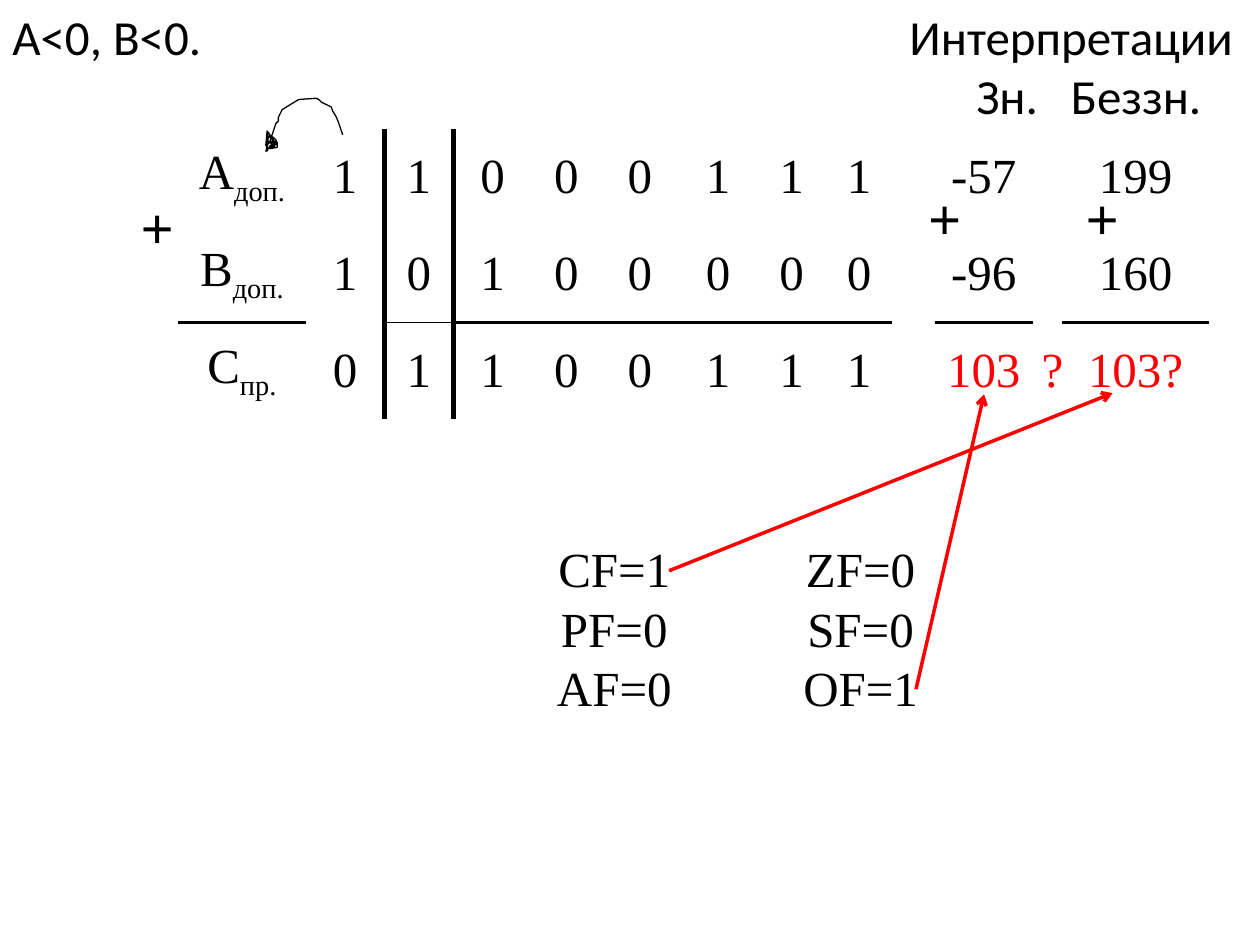
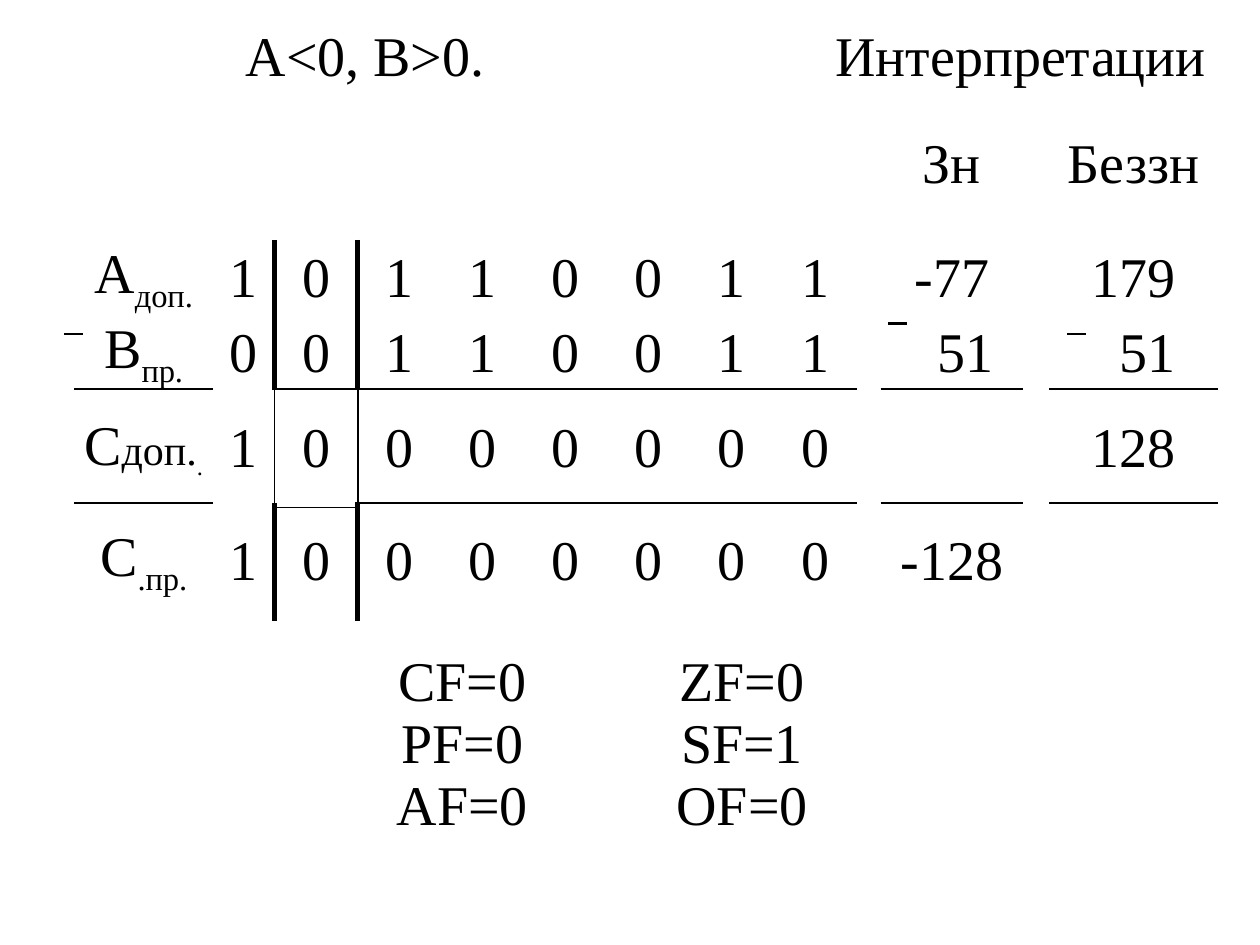
from dataclasses import dataclass

from lxml import etree
from pptx import Presentation
from pptx.dml.color import RGBColor
from pptx.enum.shapes import MSO_CONNECTOR
from pptx.enum.text import MSO_ANCHOR, PP_ALIGN
from pptx.oxml.ns import qn
from pptx.util import Inches, Pt

STRAIGHT = MSO_CONNECTOR.STRAIGHT
MIDDLE = MSO_ANCHOR.MIDDLE
LEFT, CENTER = PP_ALIGN.LEFT, PP_ALIGN.CENTER


@dataclass(frozen=True)
class Theme:
    ink: RGBColor = RGBColor(0, 0, 0)
    alert: RGBColor = RGBColor(255, 0, 0)
    serif: str = "Times New Roman"
    sans: str = "Calibri"
    sign: str = "Arial"
    sum_size: int = 28
    difference_size: int = 32
    suffix_size: int = 24
    sign_size: int = 32
    thick: float = 3
    rule: float = 1.5
    thin: float = 1
    no_grid: str = "{2D5ABB26-0587-4C30-8999-92F81FD0307C}"


@dataclass(frozen=True)
class Piece:
    text: str
    size: int
    color: RGBColor = Theme.ink
    font: str = Theme.serif
    subscript: bool = False


T = Theme()
SIGN_COL, FIRST_BIT, SIGNED_COL, UNSIGNED_COL = 1, 2, 10, 12
RULED_COLS = [0, *range(FIRST_BIT, 9), SIGNED_COL, UNSIGNED_COL]
SUM_WIDTHS = [1.02, .62, .55, .62, .55, .62, .62, .55, .52, .34, .78, .23, 1.17]
DIFFERENCE_WIDTHS = [1.1, .49] + [.66] * 7 + [.19, 1.13, .21, 1.34]
# Hand-drawn carry arrow, in hundredths of an inch
CARRY_ARC = [
    (61, 29), (58, 20), (56, 15), (53, 10), (52, 7), (44, 3), (42, 1), (40, 0),
    (26, 1), (13, 9), (10, 15), (10, 18), (8, 20), (6, 26), (3, 35), (1, 37)]
CARRY_HEAD = [
    (1, 40), (0, 37), (1, 26), (4, 30), (6, 31), (8, 33), (9, 36), (5, 37),
    (3, 38), (5, 39), (3, 40), (1, 39), (1, 28), (2, 35), (4, 35), (6, 33),
    (6, 37), (4, 36), (6, 34), (5, 31), (3, 30), (2, 27), (3, 30), (5, 32),
    (6, 35), (8, 36), (4, 38), (0, 42), (1, 39), (1, 42), (2, 30), (8, 35),
    (7, 38), (3, 40), (9, 39), (9, 35), (8, 37)]


def write(p, pieces, align=LEFT, tabs=()):
    p.alignment = align
    if tabs:
        tab_list = etree.SubElement(p._p.get_or_add_pPr(), qn("a:tabLst"))
        for tab in tabs:
            etree.SubElement(tab_list, qn("a:tab"), pos=str(Inches(tab)), algn="l")
    for piece in pieces:
        r = p.add_run()
        r.text = piece.text
        r.font.size, r.font.name = Pt(piece.size), piece.font
        r.font.color.rgb = piece.color
        if piece.subscript:
            r.font._element.set("baseline", "-25000")


def add_text(s, left, top, width, height, lines):
    """Each line is a list of pieces and its tab stops."""
    sp = s.shapes.add_textbox(*map(Inches, (left, top, width, height)))
    tf = sp.text_frame
    tf.word_wrap = True
    for i, (pieces, tabs) in enumerate(lines):
        write(tf.add_paragraph() if i else tf.paragraphs[0], pieces, tabs=tabs)


def add_line(s, start, end, color, width, arrow=False):
    line = s.shapes.add_connector(STRAIGHT, *map(Inches, (*start, *end)))
    line.line.color.rgb = color
    line.line.width = Pt(width)
    if arrow:
        etree.SubElement(line.line._get_or_add_ln(), qn("a:tailEnd"), type="arrow")
    etree.SubElement(line._element.spPr, qn("a:effectLst"))


def set_borders(cell, sides):
    """Draw black borders from a mapping of side (L, R, T, B) to width."""
    tc_pr = cell._tc.get_or_add_tcPr()
    for i, side in enumerate(x for x in "LRTB" if x in sides):
        ln = etree.Element(qn(f"a:ln{side}"), w=str(Pt(sides[side])))
        fill = etree.SubElement(ln, qn("a:solidFill"))
        etree.SubElement(fill, qn("a:srgbClr"), val=str(T.ink))
        tc_pr.insert(i, ln)


def add_grid(s, left, top, widths, heights, rows, borders=None):
    """Add a plain table; borders maps (row, column) to its sides."""
    frame = s.shapes.add_table(len(rows), len(widths), Inches(left), Inches(top),
                               Inches(sum(widths)), Inches(sum(heights)))
    table = frame.table
    table.first_row = table.horz_banding = False
    table._tbl.tblPr.find(qn("a:tableStyleId")).text = T.no_grid
    for column, width in zip(table.columns, widths):
        column.width = Inches(width)
    for i, (height, row) in enumerate(zip(heights, rows)):
        table.rows[i].height = Inches(height)
        for j, pieces in enumerate(row):
            cell = table.cell(i, j)
            cell.fill.background()
            cell.vertical_anchor = MIDDLE
            cell.margin_left = cell.margin_right = Inches(.07)
            cell.margin_top = cell.margin_bottom = 0
            write(cell.text_frame.paragraphs[0], pieces, CENTER)
            set_borders(cell, (borders or {}).get((i, j), {}))
    return table


def label(name, suffix, size):
    return [Piece(name, size), Piece(suffix, size, subscript=True)]


def number_row(head, bits, signed, unsigned, size, mark="", color=T.ink):
    """Table row: label, eight bits, and the two readings of the number."""
    def cell(text, tint=T.ink):
        return [Piece(text, size, tint)] if text else []
    return [head, *map(cell, bits), [],
            cell(signed, color), cell(mark, color), cell(unsigned, color)]


def sign_bar(borders, row, width):
    borders.setdefault((row, SIGN_COL), {})["R"] = width
    borders.setdefault((row, FIRST_BIT), {})["L"] = width


def rule_below(borders, row):
    for col in RULED_COLS:
        width = T.thin if col == FIRST_BIT else T.rule
        borders.setdefault((row, col), {})["B"] = width
        borders.setdefault((row + 1, col), {})["T"] = width


def add_flags(s, left, top, widths, size, rows):
    """Two columns of flags; a third width in the middle is a gap."""
    gap = [[]] * (len(widths) - 2)
    cells = [[[Piece(a, size)], *gap, [Piece(b, size)]] for a, b in rows]
    line = .47 if size == T.sum_size else .49
    add_grid(s, left, top, widths, [line] * len(rows), cells)


def add_carry(s, left, top):
    (x, y), *rest = CARRY_ARC + CARRY_HEAD
    builder = s.shapes.build_freeform(x, y, scale=Inches(.01))
    builder.add_line_segments(rest, close=False)
    sp = builder.convert_to_shape(Inches(left), Inches(top))
    sp.shadow.inherit = False
    sp.fill.background()
    sp.line.color.rgb = T.ink
    sp.line.width = Pt(.75)


def add_sum(s, left, top):
    size = T.sum_size
    rows = [
        number_row(label("А", "доп.", size), "11000111", "-57", "199", size),
        number_row(label("B", "доп.", size), "10100000", "-96", "160", size),
        number_row(label("С", "пр.", size), "01100111", "103", "103?", size,
                   "?", T.alert)]
    borders = {}
    for row in range(3):
        sign_bar(borders, row, T.thick)
    rule_below(borders, 1)
    add_grid(s, left, top, SUM_WIDTHS, [.77] * 3, rows, borders)
    for dx, dy in ((-.39, .46), (7.11, .39), (5.86, .39)):
        plus = Piece("+", T.sign_size, font=T.sign)
        add_text(s, left + dx, top + dy, .47, .64, [([plus], ())])


def add_difference(s, left, top):
    size = T.difference_size
    blank = [[] for _ in DIFFERENCE_WIDTHS]
    captions = list(blank)
    captions[SIGNED_COL] = [Piece("Зн", size)]
    captions[UNSIGNED_COL] = [Piece("Беззн", size)]
    complement = [Piece("C", size), Piece("доп.", T.suffix_size),
                  Piece(".", T.suffix_size, subscript=True)]
    rows = [
        blank, captions,
        number_row(label("A", "доп.", size), "10110011", "-77", "179", size),
        number_row(label("B", "пр.", size), "00110011", "51", "51", size),
        number_row(complement, "10000000", "", "128", size)]
    borders = {}
    for row, width in ((2, T.thick), (3, T.thick), (4, T.thin)):
        sign_bar(borders, row, width)
    rule_below(borders, 3)
    borders[4, FIRST_BIT]["B"] = T.thin
    table = add_grid(s, left, top, DIFFERENCE_WIDTHS,
                     [.49, 1.2, .62, .56, .94], rows, borders)
    heading = table.cell(0, 0)
    heading.merge(table.cell(0, UNSIGNED_COL))
    write(heading.text_frame.paragraphs[0],
          [Piece("\tА<0, B>0.\tИнтерпретации", size)], tabs=(1.29, 5.97))
    for col in (SIGNED_COL, UNSIGNED_COL):
        table.cell(3, col).margin_left = Inches(.29)
    for dx, dy in ((7.88, 2.44), (6.46, 2.36), (-.08, 2.44)):
        x, y = left + dx, top + dy
        add_line(s, (x, y), (x + .15, y), T.ink, T.rule)


def add_direct_code(s, left, top):
    size = T.difference_size
    row = number_row(label("C", ".пр.", size), "10000000", "-128", "", size)
    borders = {(0, col): {"T": T.rule} for col in RULED_COLS if col != FIRST_BIT}
    sign_bar(borders, 0, T.thick)
    add_grid(s, left, top, DIFFERENCE_WIDTHS, [.94], [row], borders)


def sum_slide(prs):
    s = prs.slides.add_slide(prs.slide_layouts[6])
    lines = [("А<0, B<0.\tИнтерпретации", (7.12,)), ("\tЗн.\tБеззн.", (7.65, 8.4))]
    add_text(s, 0, 0, 10, 1.51,
             [([Piece(text, T.sum_size, font=T.sans)], tabs) for text, tabs in lines])
    add_sum(s, 1.41, 1.02)
    add_flags(s, 4.3, 4.3, [1.15, .19, 2.38], T.sum_size,
              [("CF=1", "ZF=0"), ("PF=0", "SF=0"), ("AF=0", "OF=1")])
    add_line(s, (7.27, 5.47), (7.81, 3.13), T.alert, 2, arrow=True)
    add_line(s, (5.31, 4.53), (8.83, 3.12), T.alert, 2, arrow=True)
    add_carry(s, 2.11, .78)


def difference_slide(prs):
    s = prs.slides.add_slide(prs.slide_layouts[6])
    add_difference(s, .59, .21)
    add_direct_code(s, .59, 3.99)
    add_flags(s, 2.56, 5.17, [2.22, 2.22], T.difference_size,
              [("CF=0", "ZF=0"), ("PF=0", "SF=1"), ("AF=0", "OF=0")])


def main():
    prs = Presentation()
    prs.slide_width, prs.slide_height = Inches(10), Inches(7.5)
    sum_slide(prs)
    difference_slide(prs)
    prs.save("out.pptx")


if __name__ == "__main__":
    main()
